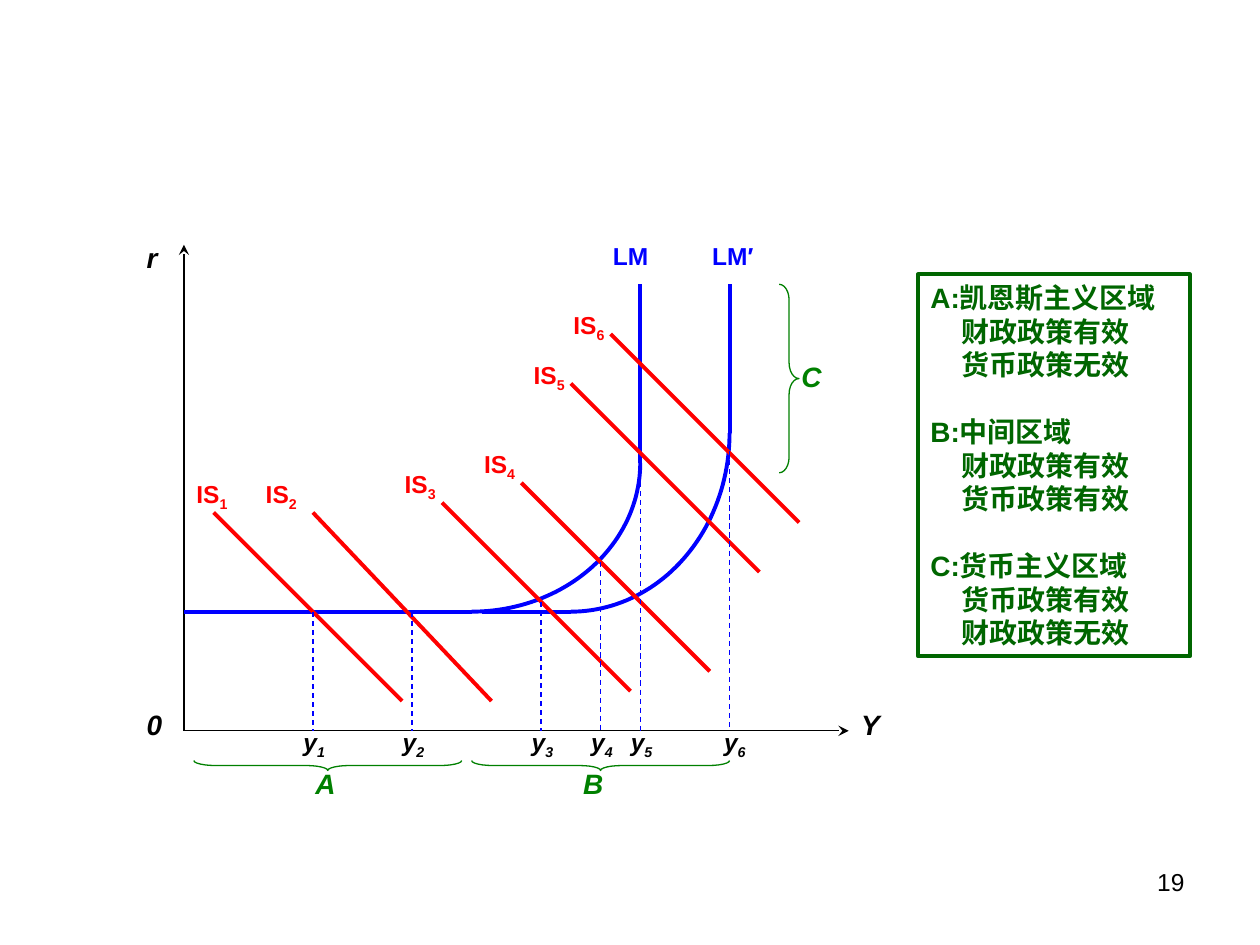
import math

from lxml import etree
from pptx import Presentation
from pptx import util as u
from pptx.dml.color import RGBColor
from pptx.enum import dml, shapes, text
from pptx.oxml.ns import qn

COLORS = {"ink": "000000", "is": "FF0000", "lm": "0000FF",
          "region": "008000", "panel": "006600"}
AXIS = {"size": 16, "bold": True, "italic": True}
CURVE = {"size": 14, "bold": True}
OUTPUT = {"size": 14, "bold": True, "italic": True}
PANEL = {"size": 16, "bold": True}
PAGE = {"size": 14}

THICK, THIN = 2.25, 0.75
FLOOR = 12  # height of the flat part of LM
LABEL = (8, 4.7)
SMALL = (4.7, 4.7)

# name, start of the line, columns it spans, corner of its label
IS_CURVES = [
    ("1", (3, 22), 19, (0, 26)),
    ("2", (13, 22), 18, (7, 26)),
    ("3", (26, 23), 19, (21, 27)),
    ("4", (34, 25), 19, (29, 29)),
    ("5", (39, 35), 19, (34, 38)),
    ("6", (43, 40), 19, (38, 43)),
]
# name, flat part from, bend at, (column, row) where it turns vertical, label
LM_CURVES = [
    ("LM", 0, 29, (46, 27), (42, 50)),
    ("LM′", 30, 39, (55, 30), (52, 50)),
]
# name, column, top of the dashed line, label column
OUTPUTS = [
    ("1", 13, 12, 10.8), ("2", 23, 12, 20.8), ("3", 36, 13, 33.8),
    ("4", 42, 17, 39.8), ("5", 46, 26, 43.8), ("6", 55, 30, 53.2),
]
REGIONS = [
    ("A:凯恩斯主义区域", "财政政策有效", "货币政策无效"),
    ("B:中间区域", "财政政策有效", "货币政策有效"),
    ("C:货币主义区域", "货币政策有效", "财政政策无效"),
]


class Diagram:
    """Draws on a grid of 2 mm cells; rows count upwards from the origin."""
    cell = u.Mm(2)
    left, base = u.Inches(1.46), u.Inches(5.8)
    font = "Arial"

    def __init__(self, slide):
        self.slide = slide

    def point(self, column, row):
        return (round(self.left + column * self.cell),
                round(self.base - row * self.cell))

    def box(self, corner, size):
        return (*self.point(*corner), *(round(n * self.cell) for n in size))

    def stroke(self, shape, color, width):
        shape.line.color.rgb = RGBColor.from_string(COLORS[color])
        shape.line.width = u.Pt(width)

    def line(self, start, end, color, width, dashed=False, arrow=False):
        connector = self.slide.shapes.add_connector(
            shapes.MSO_CONNECTOR.STRAIGHT, *self.point(*start), *self.point(*end))
        self.stroke(connector, color, width)
        if dashed:
            connector.line.dash_style = dml.MSO_LINE.DASH
        properties = connector._element.spPr
        if arrow:
            outline = properties.find(qn("a:ln"))
            etree.SubElement(outline, qn("a:tailEnd"), type="stealth")
        etree.SubElement(properties, qn("a:effectLst"))

    def bend(self, start, end, color, width, steps=48):
        """Quarter ellipse that leaves start level and reaches end upright."""
        (x0, y0), (x1, y1) = start, end
        angles = [math.pi / 2 * step / steps for step in range(steps + 1)]
        points = [self.point(x0 + (x1 - x0) * math.sin(angle),
                             y1 - (y1 - y0) * math.cos(angle))
                  for angle in angles]
        builder = self.slide.shapes.build_freeform(*points[0])
        builder.add_line_segments(points[1:], close=False)
        self.outline(builder.convert_to_shape(), color, width)

    def outline(self, shape, color, width):
        shape.shadow.inherit = False
        shape.fill.background()
        self.stroke(shape, color, width)

    def brace(self, kind, corner, thickness, length, rotation=0):
        shape = self.slide.shapes.add_shape(
            kind, *self.box(corner, (thickness, length)))
        shape.rotation = rotation
        shape.adjustments[0] = length / 12 / thickness
        self.outline(shape, "region", THIN)

    def add_runs(self, paragraph, content, color, style, subscript=""):
        for part in filter(None, (content, subscript)):
            run = paragraph.add_run()
            run.text = part
            run.font.name = self.font
            run.font.color.rgb = RGBColor.from_string(COLORS[color])
            for name, value in style.items():
                setattr(run.font, name, u.Pt(value) if name == "size" else value)
            if part == subscript:
                run._r.get_or_add_rPr().set("baseline", "-25000")

    def label(self, content, corner, size, color, style, subscript="",
              wrap=True, align=text.PP_ALIGN.LEFT):
        frame = self.slide.shapes.add_textbox(*self.box(corner, size)).text_frame
        frame.word_wrap = wrap
        paragraph = frame.paragraphs[0]
        paragraph.alignment = align
        self.add_runs(paragraph, content, color, style, subscript)

    def panel(self, groups, corner, size):
        shape = self.slide.shapes.add_shape(
            shapes.MSO_SHAPE.RECTANGLE, *self.box(corner, size))
        self.outline(shape, "panel", THICK)
        frame = shape.text_frame
        frame.word_wrap = True
        frame.vertical_anchor = text.MSO_ANCHOR.TOP
        paragraph = frame.paragraphs[0]
        for group_index, group in enumerate(groups):
            for line_index, content in enumerate(group):
                if group_index or line_index:
                    paragraph = frame.add_paragraph()
                paragraph.alignment = text.PP_ALIGN.LEFT
                if line_index:
                    paragraph._p.get_or_add_pPr().set("marL", str(u.Inches(0.25)))
                elif group_index:
                    paragraph.space_before = u.Pt(19)
                self.add_runs(paragraph, content, "panel", PANEL)


def main():
    presentation = Presentation()
    presentation.slide_width, presentation.slide_height = u.Inches(10), u.Inches(7.5)
    slide = presentation.slides.add_slide(presentation.slide_layouts[6])
    diagram = Diagram(slide)

    for end in ((0, 49), (67, 0)):
        diagram.line((0, 0), end, "ink", THIN, arrow=True)
    for name, corner in (("0", (-5, 3)), ("Y", (67, 3)), ("r", (-5, 50))):
        diagram.label(name, corner, (7, 4.7), "ink", AXIS)

    for name, start, bend, turn, corner in LM_CURVES:
        diagram.line((start, FLOOR), (bend, FLOOR), "lm", THICK)
        diagram.bend((bend, FLOOR), turn, "lm", THICK)
        diagram.line(turn, (turn[0], 45), "lm", THICK)
        diagram.label(name, corner, (9, 4.3), "lm", CURVE)

    for number, (column, row), span, corner in IS_CURVES:
        diagram.line((column, row), (column + span, row - 19), "is", THICK)
        diagram.label("IS", corner, LABEL, "is", CURVE, subscript=number)

    for number, column, top, label_column in OUTPUTS:
        diagram.line((column, top), (column, 0), "lm", THIN, dashed=True)
        diagram.label("y", (label_column, 1), SMALL, "ink", OUTPUT,
                      subscript=number, wrap=False)

    for start, end in ((1, 28), (29, 55)):
        length, middle = end - start, (start + end) / 2
        diagram.brace(shapes.MSO_SHAPE.LEFT_BRACE,
                      (middle - 0.5, -3.5 + length / 2), 1, length, rotation=270)
    diagram.brace(shapes.MSO_SHAPE.RIGHT_BRACE, (60, 45), 2, 19)
    for name, corner in (("A", (12, -3)), ("B", (39, -3)), ("C", (61, 38))):
        diagram.label(name, corner, SMALL, "region", AXIS, wrap=False)

    diagram.panel(REGIONS, (74, 46), (27.4, 38.5))
    diagram.label("19", (72.5, -13.1), (29.6, 6.6), "ink", PAGE,
                  align=text.PP_ALIGN.RIGHT)
    presentation.save("out.pptx")


if __name__ == "__main__":
    main()
